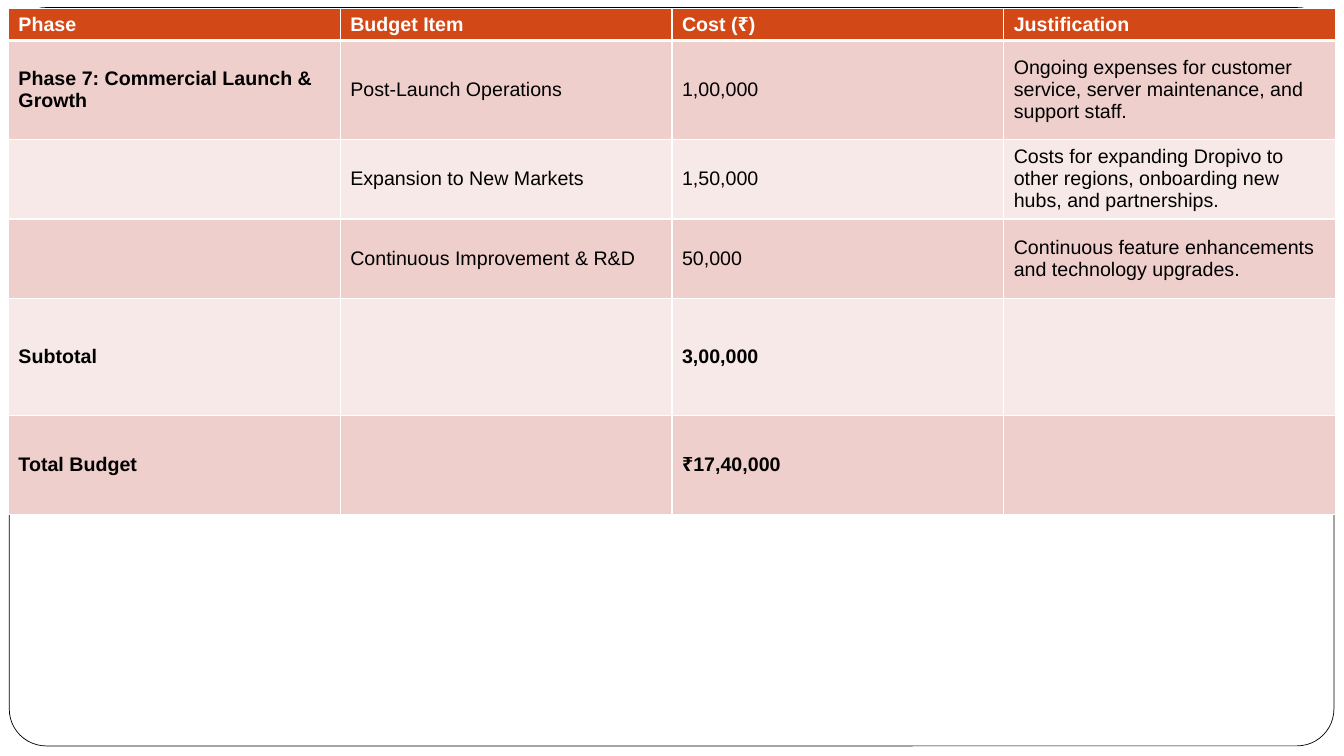
from pptx import Presentation
from pptx.dml.color import RGBColor
from pptx.enum.shapes import MSO_SHAPE
from pptx.enum.text import MSO_ANCHOR
from pptx.oxml.ns import qn
from pptx.util import Inches, Pt
from lxml import etree

ROUNDED = MSO_SHAPE.ROUNDED_RECTANGLE
MIDDLE = MSO_ANCHOR.MIDDLE

COLOURS = {
    "white": "FFFFFF",
    "black": "000000",
    "header": "D34817",
    "odd": "EFCFCC",
    "even": "F7E9E8",
}
GRID_COLUMNS, GRID_ROWS = 160, 90
THIN, THICK = 1, 3

ROW_HEIGHTS = [2.9, 11.75, 9.5, 9.5, 13.9, 11.75]
BUDGET = [
    ["Phase", "Budget Item", "Cost (₹)", "Justification"],
    ["Phase 7: Commercial Launch & Growth", "Post-Launch Operations", "1,00,000",
     "Ongoing expenses for customer service, server maintenance, and support staff."],
    ["", "Expansion to New Markets", "1,50,000",
     "Costs for expanding Dropivo to other regions, onboarding new hubs, and partnerships."],
    ["", "Continuous Improvement & R&D", "50,000",
     "Continuous feature enhancements and technology upgrades."],
    ["Subtotal", "", "3,00,000", ""],
    ["Total Budget", "", "₹17,40,000", ""],
]
BOLD_ROWS = {0, 4, 5}


def colour(name):
    return RGBColor.from_string(COLOURS[name])


class BudgetPage:
    def __init__(self, deck):
        self.column = deck.slide_width / GRID_COLUMNS
        self.row = deck.slide_height / GRID_ROWS
        self.page = deck.slides.add_slide(deck.slide_layouts[6])
        self.text_style = {"name": "Arial", "size": Pt(14)}

    def place(self, left, top, width, height):
        return (round(left * self.column), round(top * self.row),
                round(width * self.column), round(height * self.row))

    def frame(self, *area):
        box = self.page.shapes.add_shape(ROUNDED, *self.place(*area))
        box.adjustments[0] = 0.05
        box.shadow.inherit = False
        box.fill.solid()
        box.fill.fore_color.rgb = colour("white")
        box.line.color.rgb = colour("black")
        box.line.width = Pt(0.5)

    def borders(self, cell, widths):
        properties = cell._tc.get_or_add_tcPr()
        for side, width in widths.items():
            line = etree.SubElement(properties, qn(f"a:ln{side}"), w=str(Pt(width)))
            fill = etree.SubElement(line, qn("a:solidFill"))
            etree.SubElement(fill, qn("a:srgbClr"), val=COLOURS["white"])

    def label(self, cell, text, bold, ink):
        cell.vertical_anchor = MIDDLE
        if not text:
            return
        span = cell.text_frame.paragraphs[0].add_run()
        span.text = text
        for name, value in {**self.text_style, "bold": bold}.items():
            setattr(span.font, name, value)
        span.font.color.rgb = colour(ink)

    def table(self, rows, heights, *area):
        left, top, width, height = self.place(*area)
        holder = self.page.shapes.add_table(len(rows), len(rows[0]), left, top, width, height)
        table = holder.table
        for index, (texts, size) in enumerate(zip(rows, heights)):
            table.rows[index].height = round(size * self.row)
            band = "header" if index == 0 else "odd" if index % 2 else "even"
            widths = {"L": THIN, "R": THIN,
                      "T": THICK if index == 1 else THIN,
                      "B": THICK if index == 0 else THIN}
            for position, text in enumerate(texts):
                cell = table.cell(index, position)
                bold = index in BOLD_ROWS or position == 0
                self.borders(cell, widths)
                cell.fill.solid()
                cell.fill.fore_color.rgb = colour(band)
                self.label(cell, text, bold, "white" if index == 0 else "black")
        holder.height = height


def main():
    deck = Presentation()
    deck.slide_width, deck.slide_height = Inches(13.33), Inches(7.5)
    budget = BudgetPage(deck)
    budget.frame(1.1, 0.9, 157.7, 87.9)
    budget.table(BUDGET, ROW_HEIGHTS, 1, 1, 158, 64)
    deck.save("out.pptx")


if __name__ == "__main__":
    main()
